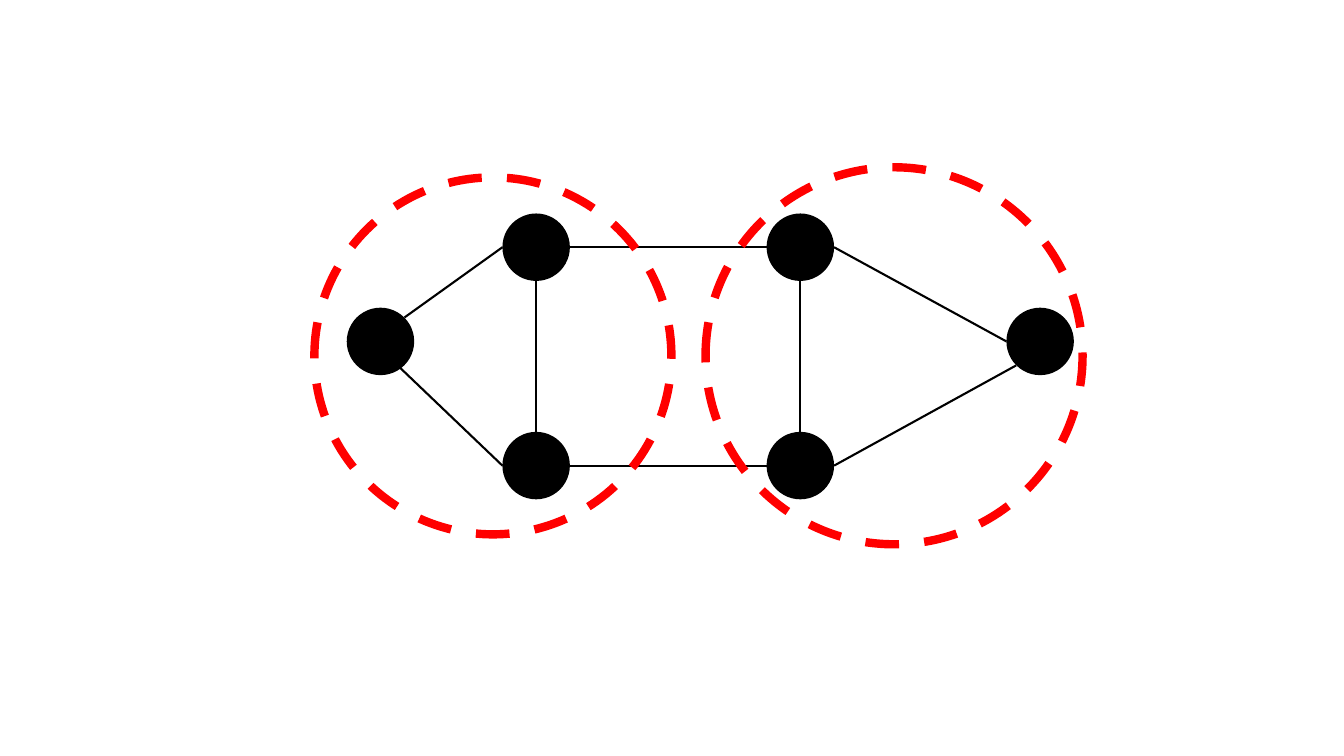
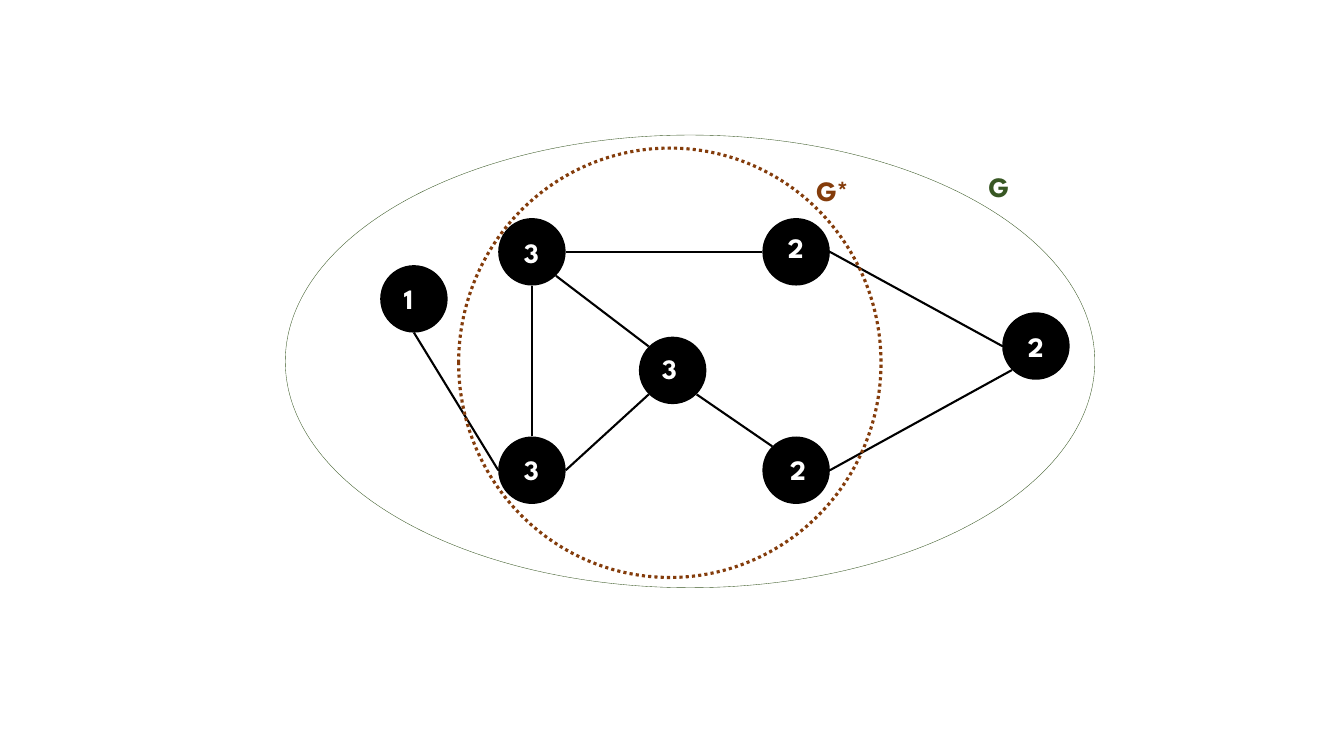
from lxml import etree
from pptx import Presentation
from pptx.dml.color import RGBColor
from pptx.enum.dml import MSO_LINE
from pptx.enum.shapes import MSO_CONNECTOR, MSO_SHAPE
from pptx.enum.text import MSO_AUTO_SIZE
from pptx.oxml.ns import qn
from pptx.util import Pt

OVAL = MSO_SHAPE.OVAL
LINE = MSO_CONNECTOR.STRAIGHT
DASH = MSO_LINE.DASH
DOT = MSO_LINE.ROUND_DOT
GROW = MSO_AUTO_SIZE.SHAPE_TO_FIT_TEXT

HUES = {"ink": "000000", "pale": "FFFFFF", "red": "FF0000",
        "green": "385723", "brown": "843C0B"}
FONT = "League Spartan"
SIZE = 20
RAD = 24.1
DIAG = 0.71
SITES = {"n": (0, -1), "s": (0, 1), "w": (-1, 0), "e": (1, 0),
         "nw": (-DIAG, -DIAG), "ne": (DIAG, -DIAG),
         "sw": (-DIAG, DIAG), "se": (DIAG, DIAG), "core": (0.37, 0.58)}

CORE = {"top": (383, 176.6), "low": (383, 332.6), "peak": (571.7, 176.6),
        "base": (571.7, 332.6), "end": (743, 243.9)}
EDGES = [("top", "e", "peak", "w"), ("peak", "e", "end", "w"),
         ("base", "e", "end", "sw"), ("low", "n", "top", "s")]


def hue(name):
    return RGBColor.from_string(HUES[name])


def add_oval(slide, left, top, width, height):
    oval = slide.shapes.add_shape(OVAL, Pt(left), Pt(top), Pt(width), Pt(height))
    oval.shadow.inherit = False
    return oval


def add_node(slide, x, y):
    node = add_oval(slide, x - RAD, y - RAD, 2 * RAD, 2 * RAD)
    node.fill.solid()
    node.fill.fore_color.rgb = hue("ink")
    node.line.fill.background()


def add_ring(slide, box, tint, weight, style=None):
    ring = add_oval(slide, *box)
    ring.fill.background()
    ring.line.color.rgb = hue(tint)
    ring.line.width = Pt(weight)
    if style is not None:
        ring.line.dash_style = style


def add_edge(slide, start, stop):
    edge = slide.shapes.add_connector(LINE, *(Pt(n) for n in start + stop))
    edge.line.color.rgb = hue("ink")
    edge.line.width = Pt(1.5)
    etree.SubElement(edge._element.spPr, qn("a:effectLst"))


def add_label(slide, text, left, top, width=28.8, tint="pale"):
    box = slide.shapes.add_textbox(Pt(left), Pt(top), Pt(width), Pt(31.5))
    frame = box.text_frame
    frame.word_wrap = True
    frame.auto_size = GROW
    run = frame.paragraphs[0].add_run()
    run.text = text
    run.font.name = FONT
    run.font.size = Pt(SIZE)
    run.font.bold = True
    run.font.color.rgb = hue(tint)


def site(node, side):
    return tuple(n + RAD * d for n, d in zip(node, SITES[side]))


def add_graph(slide, nodes, edges):
    for first, out, last, into in edges:
        add_edge(slide, site(nodes[first], out), site(nodes[last], into))
    for x, y in nodes.values():
        add_node(slide, x, y)


def add_pair(slide):
    nodes = {**CORE, "start": (271.8, 243.9)}
    edges = EDGES + [("peak", "s", "base", "n"), ("base", "w", "low", "e"),
                     ("low", "w", "start", "core"), ("start", "ne", "top", "w")]
    add_graph(slide, nodes, edges)
    for left, top, width in ((224.6, 126.7, 255), (504, 119.5, 269.3)):
        add_ring(slide, (left, top, width, width), "red", 6, DASH)


def add_nest(slide):
    nodes = {name: (x - 3, y + 3.3) for name, (x, y) in CORE.items()}
    nodes.update(start=(295.7, 213.5), hub=(480.5, 264.6))
    edges = EDGES + [("hub", "sw", "low", "e"), ("low", "w", "start", "s"),
                     ("hub", "se", "base", "nw"), ("hub", "nw", "top", "se")]
    add_graph(slide, nodes, edges)
    add_ring(slide, (203.8, 96.5, 578.2, 323.3), "green", 0.25)
    add_ring(slide, (327.6, 105.8, 301.7, 306.7), "brown", 2.25, DOT)
    add_label(slide, "G", 699.1, 117.4, 38.9, "green")
    add_label(slide, "G*", 576, 120.2, 48.2, "brown")
    for text, left, top in (("1", 281.5, 197.3), ("3", 367.2, 164.9),
                            ("3", 367.2, 319.7), ("2", 555.8, 161.3),
                            ("3", 465.8, 247.7), ("2", 557.3, 319.7),
                            ("2", 727.2, 231.8)):
        add_label(slide, text, left, top)


def main():
    deck = Presentation()
    deck.slide_width = Pt(960)
    deck.slide_height = Pt(540)
    for draw in (add_pair, add_nest):
        draw(deck.slides.add_slide(deck.slide_layouts[6]))
    deck.save("out.pptx")


if __name__ == "__main__":
    main()
